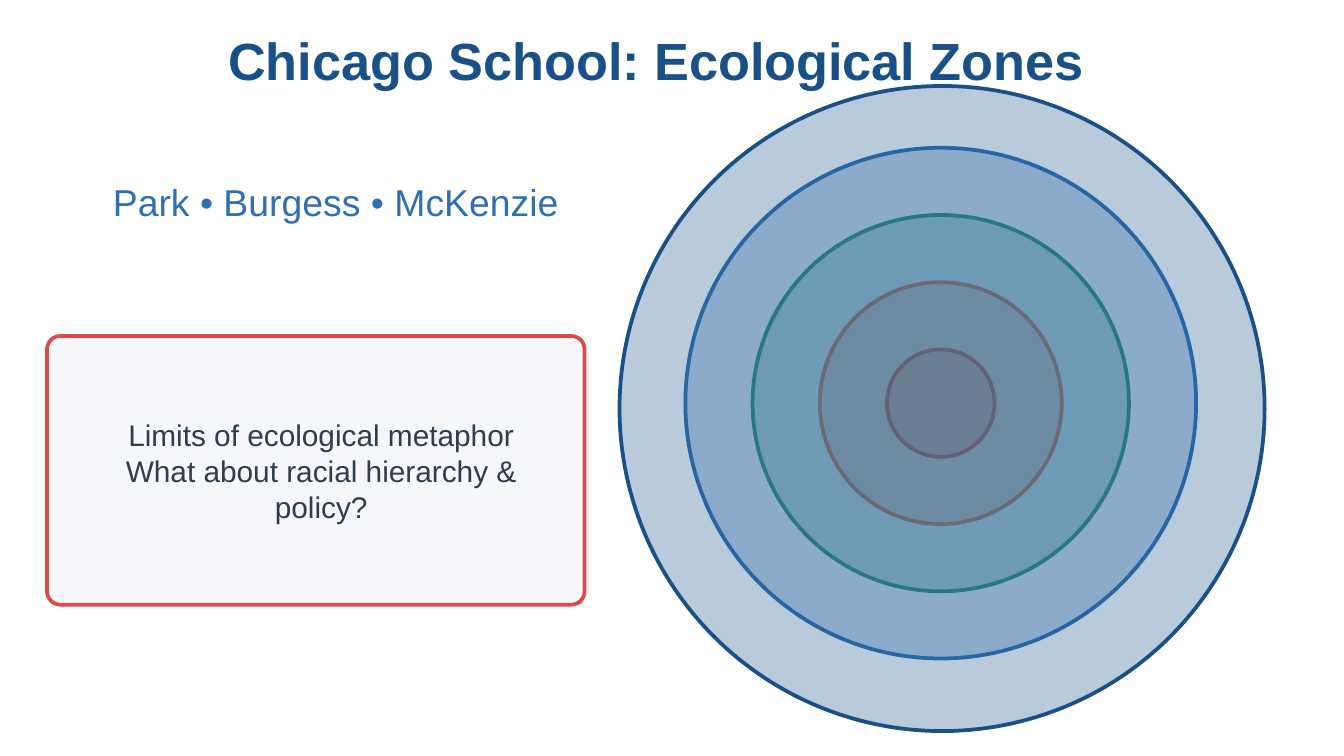
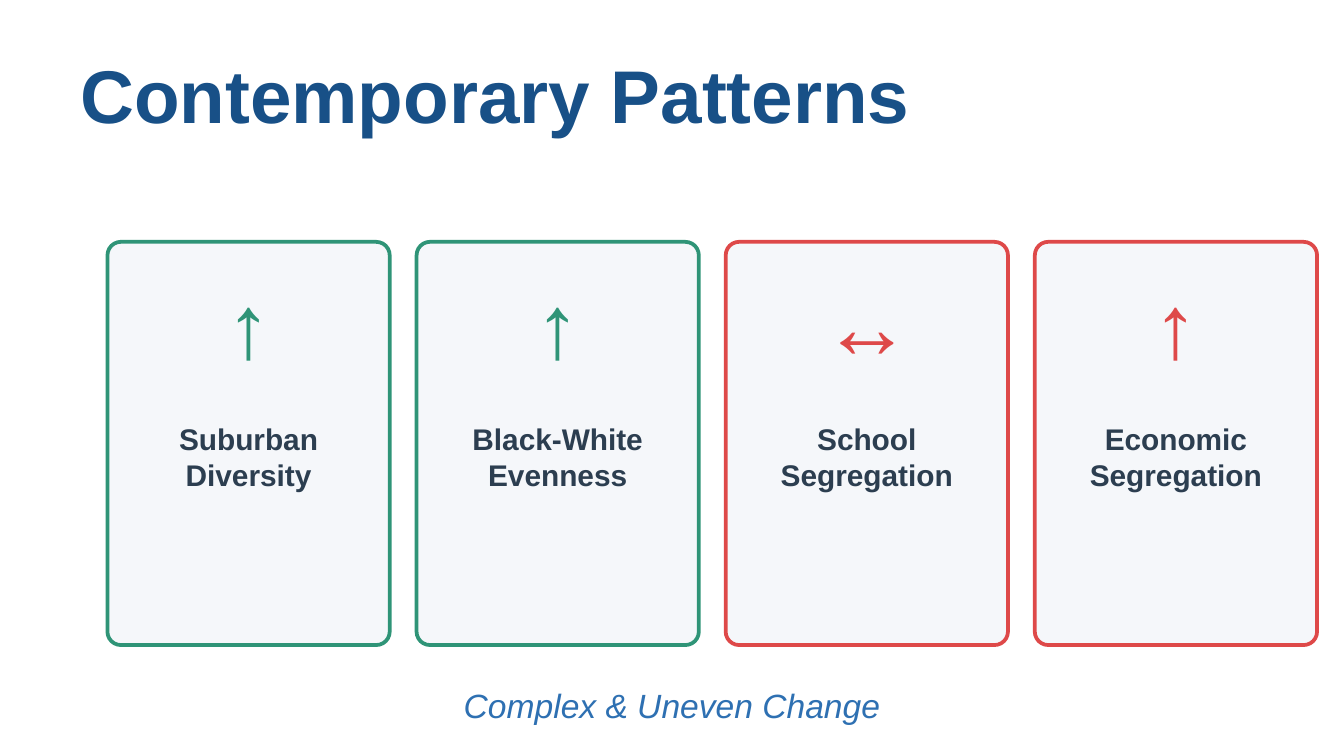
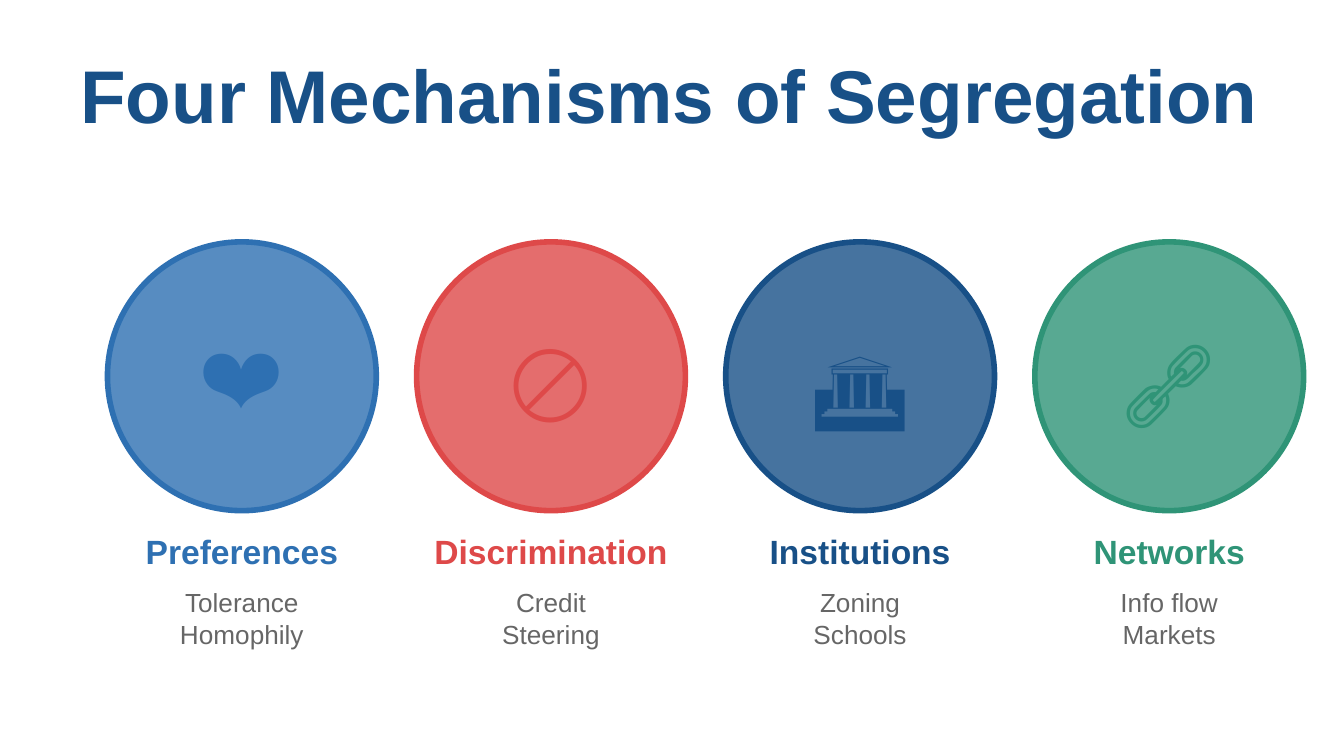
from lxml import etree
from pptx import Presentation
from pptx.dml.color import RGBColor
from pptx.enum.shapes import MSO_SHAPE
from pptx.enum.text import MSO_ANCHOR, PP_ALIGN
from pptx.oxml.ns import qn
from pptx.util import Emu, Pt

PX = 9144  # EMU per px, 100 px to the inch
SLIDE_WIDTH = 1000
BLANK_LAYOUT = 6
OVAL, ROUNDED = MSO_SHAPE.OVAL, MSO_SHAPE.ROUNDED_RECTANGLE
LEFT, CENTER, MIDDLE = PP_ALIGN.LEFT, PP_ALIGN.CENTER, MSO_ANCHOR.MIDDLE

# Colours
NAVY = RGBColor(0x18, 0x50, 0x87)
BLUE = RGBColor(0x2E, 0x70, 0xB2)
GREEN = RGBColor(0x2F, 0x94, 0x77)
ORANGE = RGBColor(0xF5, 0x6D, 0x40)
RED = RGBColor(0xDE, 0x49, 0x49)
PALE = RGBColor(0xF5, 0xF7, 0xFA)
SLATE = RGBColor(0x2C, 0x3E, 0x50)
GRAY = RGBColor(0x66, 0x66, 0x66)

# Text styles
TITLE = {"size": Pt(40), "bold": True}
SMALL_TITLE = {"size": Pt(28), "bold": True}
NAMES = {"size": Pt(20)}
BODY = {"size": Pt(16)}
CARD_LABEL = {"size": Pt(16), "bold": True}
ICON = {"size": Pt(48)}
ARROW = {"size": Pt(48), "bold": True}
HEADING = {"size": Pt(18), "bold": True}
DETAIL = {"size": Pt(14)}
CLOSING = {"size": Pt(18), "italic": True}

# Shared geometry
TITLE_BOX = (50, 30, 900, 80)
COLUMN_LEFT, COLUMN_STEP, COLUMN_TOP = 80, 230, 180
CORNER = 10


def add_text(slide, box, lines, style, color, align=CENTER):
    frame = slide.shapes.add_textbox(*(Emu(value * PX) for value in box)).text_frame
    frame.word_wrap = True
    frame.vertical_anchor = MIDDLE
    for index, line in enumerate(lines):
        paragraph = frame.paragraphs[0] if index == 0 else frame.add_paragraph()
        paragraph.alignment = align
        run = paragraph.add_run()
        run.text = line
        run.font.name = "Arial"
        run.font.color.rgb = color
        for name, value in style.items():
            setattr(run.font, name, value)


def add_figure(slide, kind, box, fill, line, line_width=2, opacity=100):
    shape = slide.shapes.add_shape(kind, *(Emu(value * PX) for value in box))
    shape.shadow.inherit = False
    shape.fill.solid()
    shape.fill.fore_color.rgb = fill
    shape.line.color.rgb = line
    shape.line.width = Pt(line_width)
    if kind == ROUNDED:
        shape.adjustments[0] = CORNER / min(box[2:])
    if opacity < 100:
        color = shape.fill._xPr.find(qn("a:solidFill"))[0]
        etree.SubElement(color, qn("a:alpha")).set("val", str(opacity * 1000))


presentation = Presentation()
presentation.slide_width = Emu(SLIDE_WIDTH * PX)
presentation.slide_height = Emu(SLIDE_WIDTH * PX * 9 // 16)
zones_slide, patterns_slide, mechanisms_slide = (
    presentation.slides.add_slide(presentation.slide_layouts[BLANK_LAYOUT])
    for _ in range(3)
)

# Slide 1: ecological zones
add_text(zones_slide, (160, 4, 900, 80), ["Chicago School: Ecological Zones"],
         SMALL_TITLE, NAVY, LEFT)
add_text(zones_slide, (50, 130, 400, 40), ["Park • Burgess • McKenzie"], NAMES, BLUE)

# Rings from the core outwards; the outermost sits slightly off centre
for index, color in enumerate([RED, ORANGE, GREEN, BLUE, NAVY]):
    diameter = 80 + 100 * index
    center_x, center_y = (701, 304) if color == NAVY else (700, 300)
    ring = (center_x - diameter // 2, center_y - diameter // 2, diameter, diameter)
    add_figure(zones_slide, OVAL, ring, color, color, opacity=30)

# Critique box
add_figure(zones_slide, ROUNDED, (35, 250, 400, 200), PALE, RED)
add_text(zones_slide, (59, 300, 360, 100),
         ["Limits of ecological metaphor", "What about racial hierarchy & policy?"],
         BODY, SLATE)

# Slide 2: trend cards
add_text(patterns_slide, TITLE_BOX, ["Contemporary Patterns"], TITLE, NAVY, LEFT)
trends = [
    ("↑", "Suburban Diversity", GREEN),
    ("↑", "Black-White Evenness", GREEN),
    ("↔", "School Segregation", RED),
    ("↑", "Economic Segregation", RED),
]
for index, (arrow, label, color) in enumerate(trends):
    left = COLUMN_LEFT + index * COLUMN_STEP
    add_figure(patterns_slide, ROUNDED, (left, COLUMN_TOP, 210, 300), PALE, color)
    add_text(patterns_slide, (left, 200, 210, 80), [arrow], ARROW, color)
    add_text(patterns_slide, (left + 10, 300, 190, 80), [label], CARD_LABEL, SLATE)
add_text(patterns_slide, (50, 510, 900, 30), ["Complex & Uneven Change"], CLOSING, BLUE)

# Slide 3: mechanisms
add_text(mechanisms_slide, TITLE_BOX, ["Four Mechanisms of Segregation"], TITLE, NAVY, LEFT)
mechanisms = [
    ("❤️", "Preferences", ["Tolerance", "Homophily"], BLUE),
    ("🚫", "Discrimination", ["Credit", "Steering"], RED),
    ("🏛️", "Institutions", ["Zoning", "Schools"], NAVY),
    ("🔗", "Networks", ["Info flow", "Markets"], GREEN),
]
for index, (icon, heading, details, color) in enumerate(mechanisms):
    left = COLUMN_LEFT + index * COLUMN_STEP
    add_figure(mechanisms_slide, OVAL, (left, COLUMN_TOP, 200, 200), color, color,
               line_width=3, opacity=80)
    add_text(mechanisms_slide, (left, 220, 200, 120), [icon], ICON, color)
    add_text(mechanisms_slide, (left, 390, 200, 40), [heading], HEADING, color)
    add_text(mechanisms_slide, (left, 430, 200, 60), details, DETAIL, GRAY)

presentation.save("out.pptx")
